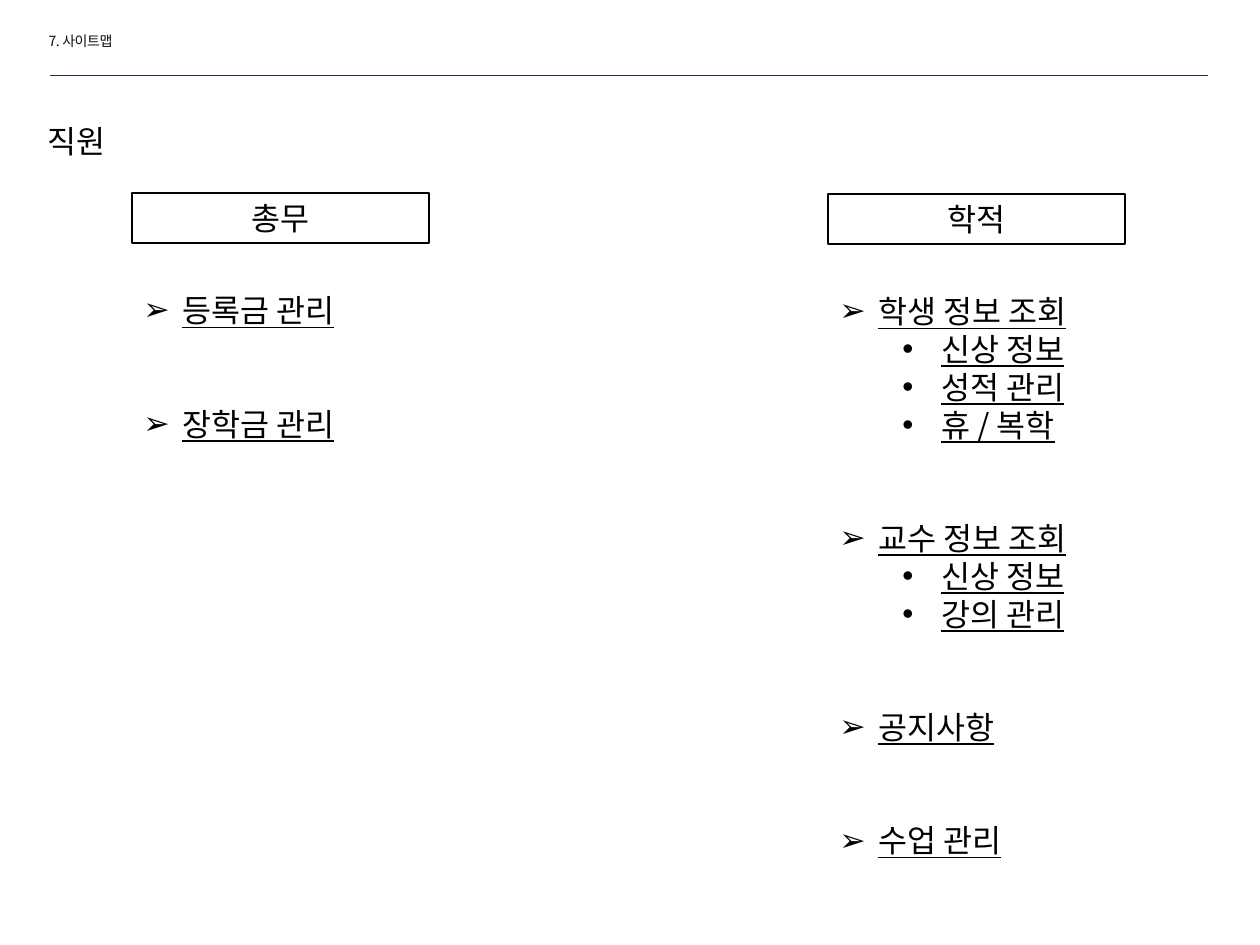
import pptx
import pptx.util
import pptx.dml.color
import pptx.enum.shapes
import pptx.enum.text
import pptx.oxml.ns
import lxml.etree
from dataclasses import dataclass

EMU = 914400 / 126
LEFT = pptx.enum.text.PP_ALIGN.LEFT
MID = pptx.enum.text.PP_ALIGN.CENTER


@dataclass(frozen=True)
class Theme:
    face: str = "Noto Sans CJK KR"
    ink: str = "000000"
    soft: str = "0D0D0D"
    rule: str = "1C314E"
    paper: str = "FFFFFF"
    body: int = 18
    small: int = 8
    pitch: float = 21.6
    gap: float = 43.2


THEME = Theme()
MARKS = (("➢", 39), ("•", 102))
HANG = 39

COLS = (
    ((132, 193, 297, 50), "총무", (
        ("등록금 관리", ()),
        ("장학금 관리", ()),
    )),
    ((828, 194, 297, 50), "학적", (
        ("학생 정보 조회", ("신상 정보", "성적 관리", "휴 / 복학")),
        ("교수 정보 조회", ("신상 정보", "강의 관리")),
        ("공지사항", ()),
        ("수업 관리", ()),
    )),
)


def px(num):
    return pptx.util.Emu(round(num * EMU))


def tint(code):
    return pptx.dml.color.RGBColor.from_string(code)


def node(parent, tag, **attrs):
    return lxml.etree.SubElement(parent, pptx.oxml.ns.qn(tag), attrs)


def add_run(para, text, size=THEME.body, color=THEME.ink, under=None):
    run = para.add_run()
    run.text = text
    font = run.font
    font.size = pptx.util.Pt(size)
    font.name = THEME.face
    font.color.rgb = tint(color)
    font.underline = under
    node(font._element, "a:ea", typeface=THEME.face)
    return run


def set_line(shape, text, align=LEFT, **look):
    """Fill a shape with one line of text, centred in height."""
    frame = shape.text_frame
    frame.word_wrap = True
    frame.auto_size = pptx.enum.text.MSO_AUTO_SIZE.NONE
    frame.vertical_anchor = pptx.enum.text.MSO_ANCHOR.MIDDLE
    frame.margin_left = frame.margin_right = pptx.util.Inches(0.1)
    frame.margin_top = frame.margin_bottom = 0
    para = frame.paragraphs[0]
    para.alignment = align
    return add_run(para, text, **look)


def add_head(slide, box):
    left, top, wide, high = box
    title = slide.shapes.title
    title.left, title.top = px(left), px(top)
    title.width, title.height = px(218), px(30)
    run = set_line(title, "7. 사이트맵", size=THEME.small, color=THEME.soft)
    run.font._element.set("spc", "-30")
    edge = top + high
    rule = slide.shapes.add_connector(
        pptx.enum.shapes.MSO_CONNECTOR.STRAIGHT,
        px(left + 14), px(edge), px(left + wide), px(edge))
    rule.line.color.rgb = tint(THEME.rule)
    rule.line.width = pptx.util.Pt(0.25)
    node(rule._element.spPr, "a:effectLst")


def add_role(slide, box):
    role = slide.shapes.add_textbox(*map(px, box))
    set_line(role, "직원")


def add_item(para, text, level):
    mark, left = MARKS[level]
    props = para._p.get_or_add_pPr()
    props.set("marL", str(px(left)))
    props.set("indent", str(px(-HANG)))
    node(props, "a:buFont", typeface="Arial")
    node(props, "a:buChar", char=mark)
    para.level = level
    para.line_spacing = pptx.util.Pt(THEME.pitch)
    add_run(para, text, under=True)


def add_list(slide, box, groups):
    frame = slide.shapes.add_textbox(*map(px, box)).text_frame
    frame.word_wrap = True
    for num, (name, parts) in enumerate(groups):
        para = frame.add_paragraph() if num else frame.paragraphs[0]
        add_item(para, name, 0)
        if num:
            para.space_before = pptx.util.Pt(THEME.gap)
        for part in parts:
            add_item(frame.add_paragraph(), part, 1)


def add_col(slide, box, name, groups):
    """Draw a framed heading with its menu tree below it."""
    left, top, wide, high = box
    rect = slide.shapes.add_shape(
        pptx.enum.shapes.MSO_SHAPE.RECTANGLE, *map(px, box))
    rect.shadow.inherit = False
    rect.fill.solid()
    rect.fill.fore_color.rgb = tint(THEME.paper)
    rect.line.color.rgb = tint(THEME.ink)
    rect.line.width = pptx.util.Pt(0.75)
    set_line(rect, name, MID)
    lines = sum(1 + len(parts) for _, parts in groups)
    tall = 38 * (lines + 2 * (len(groups) - 1)) + 13
    add_list(slide, (left - 1, top + high + 42, wide, tall), groups)


def main():
    deck = pptx.Presentation()
    deck.slide_width, deck.slide_height = px(1260), px(945)
    slide = deck.slides.add_slide(deck.slide_layouts[5])
    add_head(slide, (36, 26, 1172, 49))
    add_role(slide, (35, 116, 102, 50))
    for box, name, groups in COLS:
        add_col(slide, box, name, groups)
    deck.save("out.pptx")


if __name__ == "__main__":
    main()
